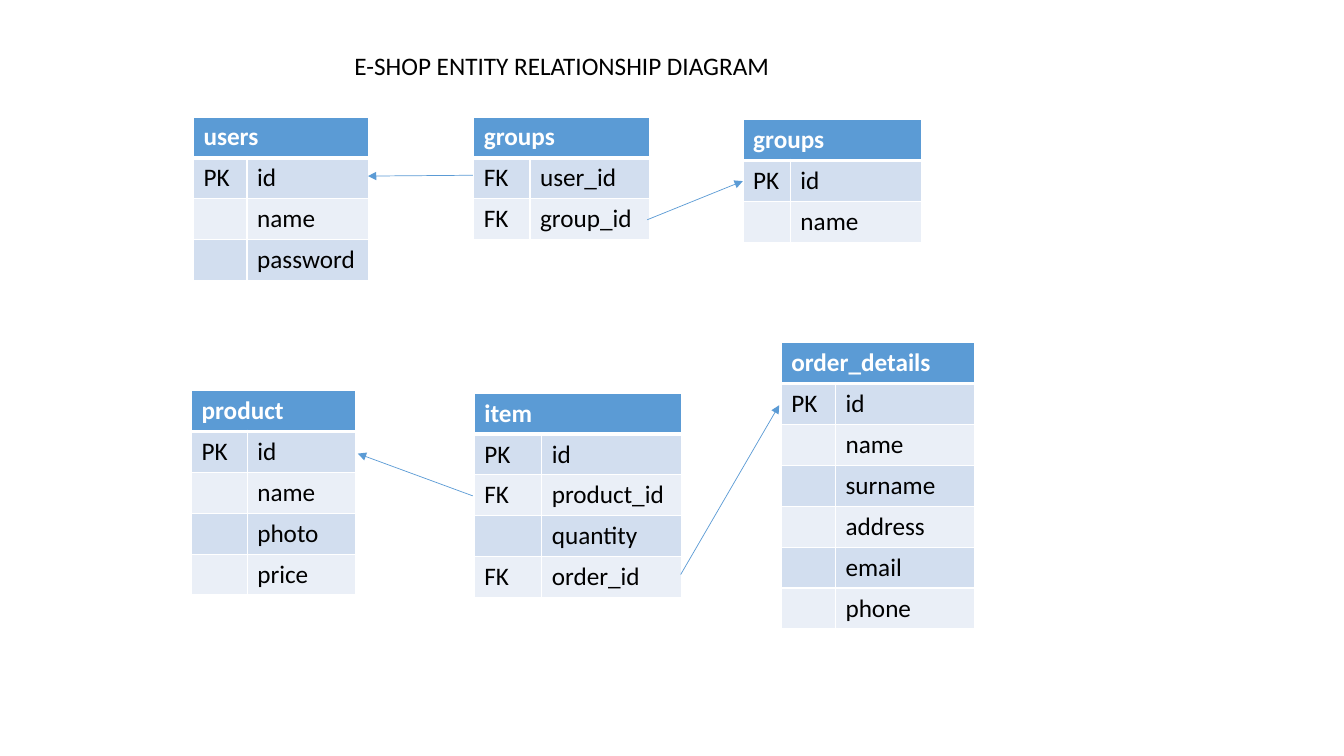
from dataclasses import dataclass

from lxml import etree
from pptx import Presentation
from pptx import util as u
from pptx.dml.color import RGBColor
from pptx.enum import shapes, text
from pptx.oxml import ns


@dataclass(frozen=True)
class Theme:
    font: str = "Calibri"
    size: float = 18
    ink: str = "000000"
    paper: str = "FFFFFF"
    accent: str = "5B9BD5"
    bands: tuple = ("D2DEEF", "EAEFF7")
    row_height: float = 29.2
    border: float = 1
    header_border: float = 3
    arrow: float = 0.5


THEME = Theme()

# Content: name, (left, top), (key width, field width), rows of (key, field)
TITLE = "E-SHOP ENTITY RELATIONSHIP DIAGRAM"
ENTITIES = [
    ("users", (138.2, 83.5), (38.3, 86.6),
     [("PK", "id"), ("", "name"), ("", "password")]),
    ("groups", (338.4, 83.5), (40.2, 85.7),
     [("FK", "user_id"), ("FK", "group_id")]),
    ("groups", (530.8, 85.5), (33.8, 93.6),
     [("PK", "id"), ("", "name")]),
    ("product", (136.8, 279), (39.8, 77.6),
     [("PK", "id"), ("", "name"), ("", "photo"), ("", "price")]),
    ("order_details", (558, 244.8), (38.8, 99.6),
     [("PK", "id"), ("", "name"), ("", "surname"), ("", "address"),
      ("", "email"), ("", "phone")]),
    ("item", (338.8, 280.8), (48.2, 100),
     [("PK", "id"), ("FK", "product_id"), ("", "quantity"), ("FK", "order_id")]),
]
# Foreign key to primary key: (from x, from y), (to x, to y)
RELATIONS = [
    ((337.7, 125.2), (262.8, 125.8)),
    ((462.3, 157), (530.6, 129.4)),
    ((337.7, 354.2), (255.6, 324)),
    ((486.2, 410.4), (556.6, 289.4)),
]


def style_paragraph(paragraph, color, bold=False):
    font = paragraph.font
    font.name, font.size, font.bold = THEME.font, u.Pt(THEME.size), bold
    font.color.rgb = RGBColor.from_string(color)


def set_borders(cell, top, bottom):
    properties = cell._tc.get_or_add_tcPr()
    widths = {"L": THEME.border, "R": THEME.border, "T": top, "B": bottom}
    for side, width in widths.items():
        line = etree.SubElement(properties, ns.qn(f"a:ln{side}"), w=str(u.Pt(width)))
        fill = etree.SubElement(line, ns.qn("a:solidFill"))
        etree.SubElement(fill, ns.qn("a:srgbClr"), val=THEME.paper)


def add_entity(slide, name, position, widths, fields):
    rows = [(name, "")] + fields
    frame = slide.shapes.add_table(
        len(rows), 2, *map(u.Pt, position),
        u.Pt(sum(widths)), u.Pt(THEME.row_height * len(rows)))
    table = frame.table
    for column, width in zip(table.columns, widths):
        column.width = u.Pt(width)
    for index, values in enumerate(rows):
        header = index == 0
        table.rows[index].height = u.Pt(THEME.row_height)
        background = THEME.accent if header else THEME.bands[(index - 1) % 2]
        for cell, value in zip(table.rows[index].cells, values):
            set_borders(cell,
                        THEME.header_border if index == 1 else THEME.border,
                        THEME.header_border if header else THEME.border)
            cell.fill.solid()
            cell.fill.fore_color.rgb = RGBColor.from_string(background)
            cell.text = value
            style_paragraph(cell.text_frame.paragraphs[0],
                            THEME.paper if header else THEME.ink, header)
    table.cell(0, 0).merge(table.cell(0, 1))


def add_relation(slide, start, end):
    connector = slide.shapes.add_connector(
        shapes.MSO_CONNECTOR.STRAIGHT, *map(u.Pt, start + end))
    connector.line.width = u.Pt(THEME.arrow)
    connector.line.color.rgb = RGBColor.from_string(THEME.accent)
    etree.SubElement(connector.line._get_or_add_ln(), ns.qn("a:tailEnd"), type="triangle")
    etree.SubElement(connector._element.spPr, ns.qn("a:effectLst"))


presentation = Presentation()
presentation.slide_width, presentation.slide_height = u.Pt(960), u.Pt(540)
slide = presentation.slides.add_slide(presentation.slide_layouts[6])

# Entity tables
for entity in ENTITIES:
    add_entity(slide, *entity)

# Relation arrows
for relation in RELATIONS:
    add_relation(slide, *relation)

# Title
title = slide.shapes.add_textbox(u.Pt(229.7), u.Pt(32.4), u.Pt(464.4), u.Pt(29))
title.text_frame.word_wrap = True
title.text_frame.auto_size = text.MSO_AUTO_SIZE.SHAPE_TO_FIT_TEXT
title.text_frame.margin_left = u.Pt(23.5)
title.text_frame.text = TITLE
style_paragraph(title.text_frame.paragraphs[0], THEME.ink)

presentation.save("out.pptx")
